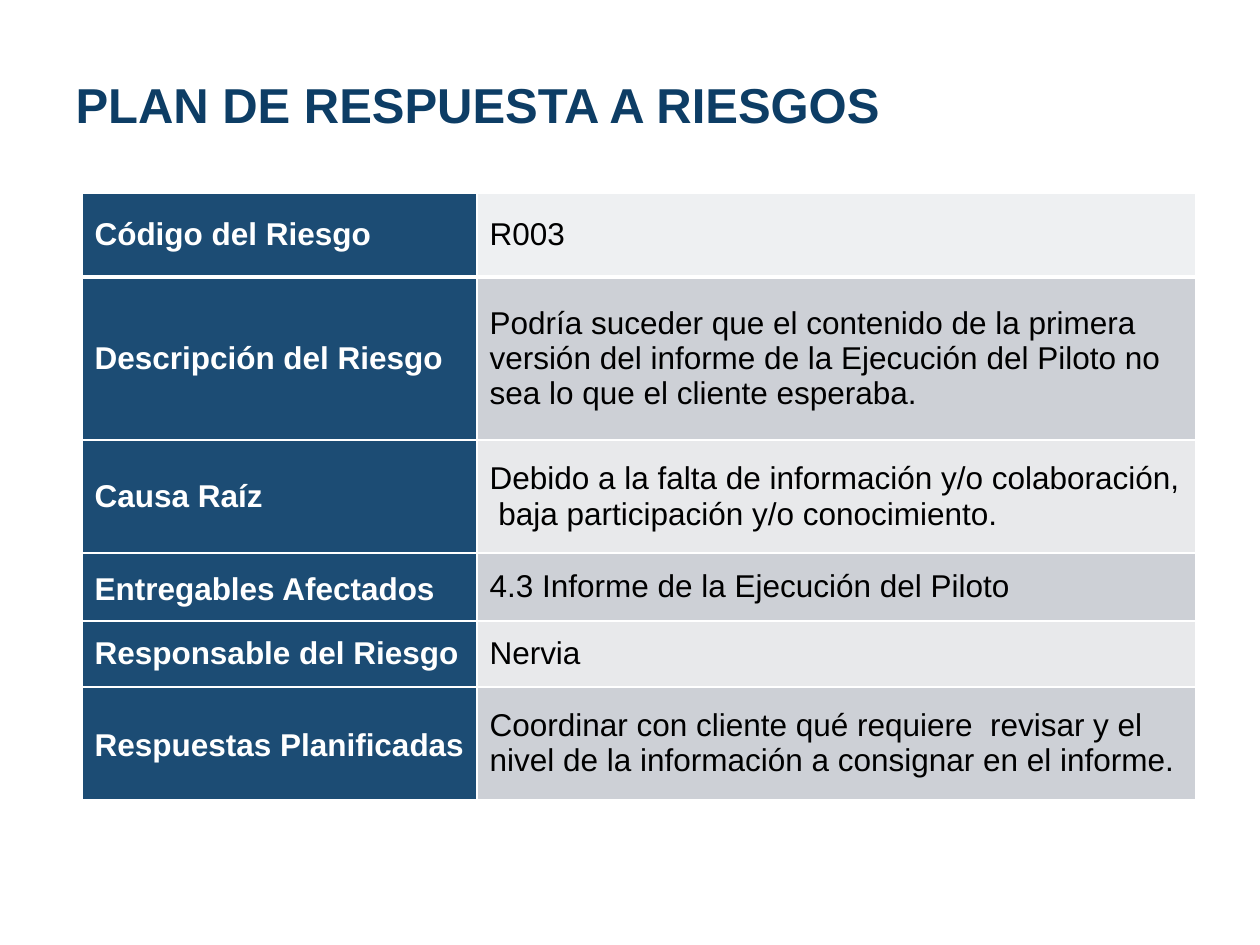
from dataclasses import dataclass

from lxml import etree
from pptx import Presentation
from pptx.dml.color import RGBColor
from pptx.enum.text import MSO_ANCHOR, PP_ALIGN
from pptx.oxml.ns import qn
from pptx.util import Pt

MIDDLE = MSO_ANCHOR.MIDDLE
LEFT = PP_ALIGN.LEFT
PX_PER_INCH = 126
TITLE_ONLY = 5


@dataclass(frozen=True)
class Theme:
    font: str = "Arial"
    title_size: int = 28
    cell_size: int = 18
    title: str = "0D3D65"
    label_fill: str = "1C4C74"
    label_text: str = "FFFFFF"
    value_text: str = "000000"
    first_fill: str = "EEF0F2"
    band_fills: tuple = ("E8E9EB", "CDD0D6")
    border: str = "FFFFFF"
    border_width: int = 1
    first_rule_width: int = 3


THEME = Theme()
TITLE = "PLAN DE RESPUESTA A RIESGOS"
TITLE_BOX = (63, 70, 1133, 74)
TABLE_BOX = (82, 193, 1114, 607)
LABEL_WIDTH = 395

# label, value, row height in px, line spacing of the label
RISK_ROWS = [
    ("Código del Riesgo", "R003", 84, 1.0),
    ("Descripción del Riesgo",
     "Podría suceder que el contenido de la primera versión del informe de la "
     "Ejecución del Piloto no sea lo que el cliente esperaba.", 163, 1.0),
    ("Causa Raíz",
     "Debido a la falta de información y/o colaboración,  baja participación "
     "y/o conocimiento.", 113, 1.0),
    ("Entregables Afectados", "4.3 Informe de la Ejecución del Piloto", 68, 1.15),
    ("Responsable del Riesgo", "Nervia", 66, 1.0),
    ("Respuestas Planificadas",
     "Coordinar con cliente qué requiere  revisar y el nivel de la información "
     "a consignar en el informe.", 113, 1.15),
]


def px(length):
    return round(length * 914400 / PX_PER_INCH)


def write_text(frame, text, size, color, bold, line_spacing):
    frame.text = text
    paragraph = frame.paragraphs[0]
    paragraph.alignment = LEFT
    paragraph.line_spacing = line_spacing
    font = paragraph.runs[0].font
    for name, value in {"name": THEME.font, "size": Pt(size), "bold": bold}.items():
        setattr(font, name, value)
    font.color.rgb = RGBColor.from_string(color)


def set_borders(cell, widths):
    """Draw the cell borders; widths maps L, R, T and B to points."""
    properties = cell._tc.get_or_add_tcPr()
    for position, (side, width) in enumerate(widths.items()):
        line = etree.Element(qn(f"a:ln{side}"), w=str(Pt(width)))
        fill = etree.SubElement(line, qn("a:solidFill"))
        etree.SubElement(fill, qn("a:srgbClr"), val=THEME.border)
        properties.insert(position, line)


def fill_cell(cell, text, fill, color, bold, line_spacing, widths):
    cell.vertical_anchor = MIDDLE
    cell.fill.solid()
    cell.fill.fore_color.rgb = RGBColor.from_string(fill)
    write_text(cell.text_frame, text, THEME.cell_size, color, bold, line_spacing)
    set_borders(cell, widths)


def place_title(slide, box):
    title = slide.shapes.title
    for name, length in zip(("left", "top", "width", "height"), box):
        setattr(title, name, px(length))
    title.text_frame.vertical_anchor = MIDDLE
    write_text(title.text_frame, TITLE, THEME.title_size, THEME.title, True, 0.95)


def place_risk_table(slide, box):
    frame = slide.shapes.add_table(len(RISK_ROWS), 2, *map(px, box))
    table = frame.table
    for column, width in zip(table.columns, (LABEL_WIDTH, box[2] - LABEL_WIDTH)):
        column.width = px(width)
    for index, (label, value, height, label_spacing) in enumerate(RISK_ROWS):
        table.rows[index].height = px(height)
        widths = dict.fromkeys("LRTB", THEME.border_width)
        if index == 0:
            widths["B"] = THEME.first_rule_width
        elif index == 1:
            widths["T"] = THEME.first_rule_width
        value_fill = THEME.band_fills[index % 2] if index else THEME.first_fill
        fill_cell(table.cell(index, 0), label, THEME.label_fill,
                  THEME.label_text, True, label_spacing, widths)
        fill_cell(table.cell(index, 1), value, value_fill,
                  THEME.value_text, False, 1.0, widths)


def main():
    deck = Presentation()
    deck.slide_width, deck.slide_height = px(1260), px(945)
    slide = deck.slides.add_slide(deck.slide_layouts[TITLE_ONLY])
    place_title(slide, TITLE_BOX)
    place_risk_table(slide, TABLE_BOX)
    deck.save("out.pptx")


if __name__ == "__main__":
    main()
